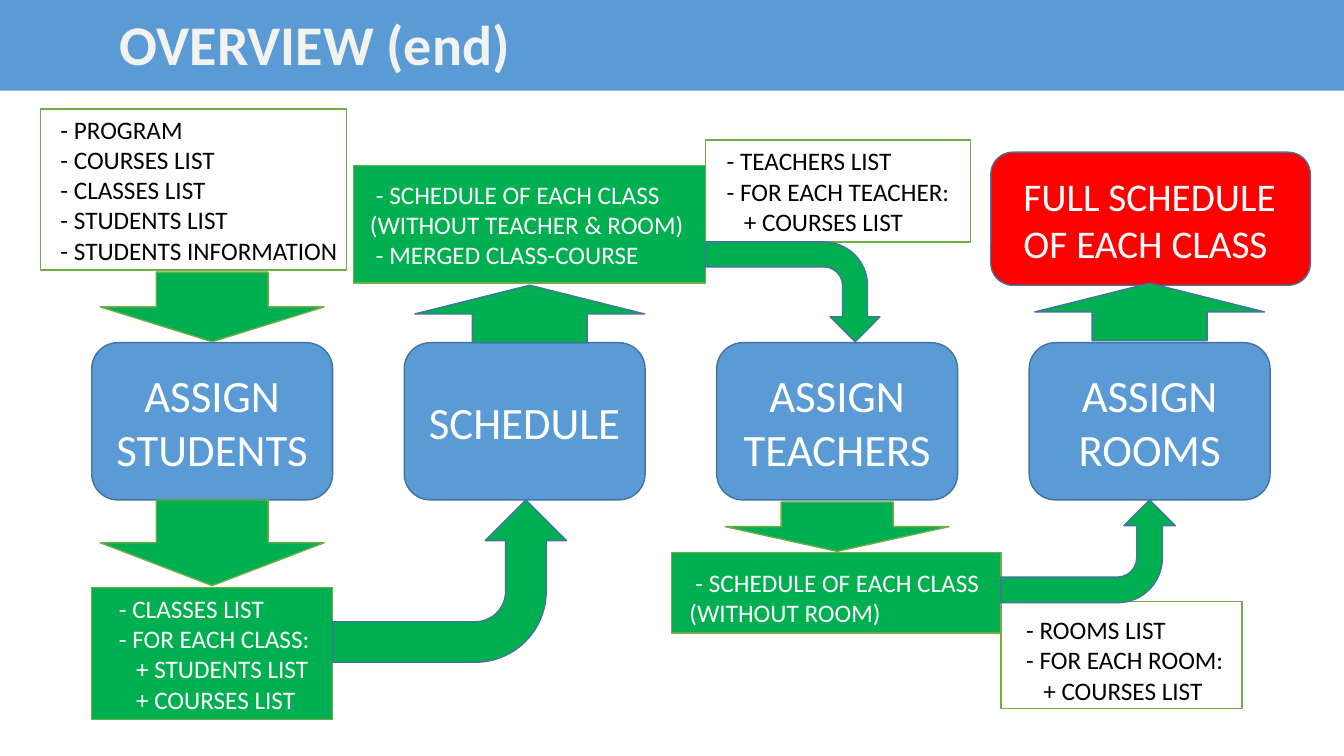
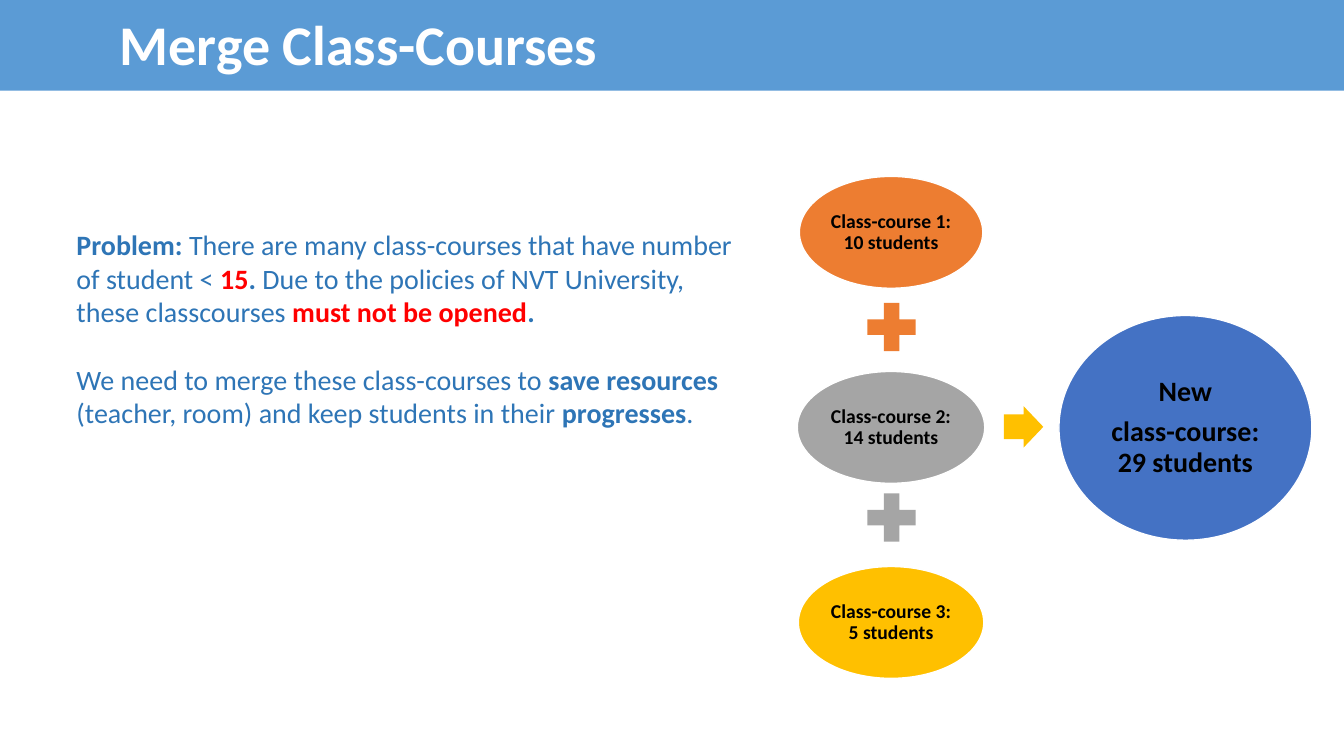
from pptx import Presentation
from pptx.dml.color import RGBColor
from pptx.enum.shapes import MSO_SHAPE
from pptx.enum.text import MSO_ANCHOR, PP_ALIGN
from pptx.util import Inches, Pt

COLORS = {
    "blue": "5B9BD5", "outline": "43739E", "green": "00B050", "edge": "70AD47",
    "red": "FF0000", "white": "FFFFFF", "pale": "F2F2EF", "black": "000000",
    "ink": "2E75B6", "orange": "ED7D31", "gray": "A5A5A5", "gold": "FFC000",
    "royal": "4472C4",
}
FONT = "Calibri"
CELL = 0.1  # side of one square grid cell, in inches
COLUMNS, ROWS = 133.33, 75
MARKER_INDENTS = {"-": 0.6, "+": 2.3}  # columns, by the line's first character


def grid(cells):
    return Inches(cells * CELL)


def color(name):
    return RGBColor.from_string(COLORS[name])


def write(shape, paragraphs, size=18, ink="white", bold=False, align=PP_ALIGN.LEFT,
          anchor=MSO_ANCHOR.MIDDLE, insets=(1, 0.5, 1, 0.5), gap=0, spacing=None):
    """Fill a shape; a paragraph is a string or a list of (text, bold, ink)."""
    frame = shape.text_frame
    frame.word_wrap = True
    frame.vertical_anchor = anchor
    (frame.margin_left, frame.margin_top,
     frame.margin_right, frame.margin_bottom) = map(grid, insets)
    for index, content in enumerate(paragraphs):
        paragraph = frame.add_paragraph() if index else frame.paragraphs[0]
        paragraph.alignment = align
        if spacing:
            paragraph.line_spacing = spacing
        if index and gap:
            paragraph.space_before = Pt(gap)
        runs = [(content, bold, ink)] if isinstance(content, str) else content
        indent = MARKER_INDENTS.get(runs[0][0][0])
        if indent:
            properties = paragraph._p.get_or_add_pPr()
            properties.set("marL", str(int(grid(indent))))
            properties.set("indent", "0")
        for text, run_bold, run_ink in runs:
            run = paragraph.add_run()
            run.text = text
            run.font.name = FONT
            run.font.size = Pt(size)
            run.font.bold = run_bold
            run.font.color.rgb = color(run_ink)


class Deck:
    """Shared style and the slide being drawn; lengths are grid cells."""

    def __init__(self):
        self.presentation = Presentation()
        self.presentation.slide_width = grid(COLUMNS)
        self.presentation.slide_height = grid(ROWS)
        self.slide = None

    def start(self, title, ink="white"):
        layout = self.presentation.slide_layouts[6]
        self.slide = self.presentation.slides.add_slide(layout)
        band = self.shape(MSO_SHAPE.RECTANGLE, 0, 0, COLUMNS, 9, "blue")
        write(band, [title], size=40, bold=True, ink=ink, insets=(11.9, 0, 1, 0.4))

    def shape(self, kind, left, top, width, height, fill, line=None):
        shape = self.slide.shapes.add_shape(
            kind, grid(left), grid(top), grid(width), grid(height))
        shape.shadow.inherit = False
        shape.fill.solid()
        shape.fill.fore_color.rgb = color(fill)
        if line:
            shape.line.color.rgb = color(line)
            shape.line.width = Pt(1)
        else:
            shape.line.fill.background()
        return shape

    def data_box(self, left, top, width, height, lines, fill="green",
                 inset=1.8, drop=0):
        box = self.shape(MSO_SHAPE.RECTANGLE, left, top, width, height, fill, "edge")
        ink = "black" if fill == "white" else "white"
        write(box, lines, ink=ink, insets=(inset, drop, 0, 0))

    def process(self, left, top, width, height, name):
        box = self.shape(MSO_SHAPE.ROUNDED_RECTANGLE, left, top, width, height,
                         "blue", "outline")
        write(box, [name], size=32, align=PP_ALIGN.CENTER)

    def block_arrow(self, center, top, width, height, up=False):
        kind = MSO_SHAPE.UP_ARROW if up else MSO_SHAPE.DOWN_ARROW
        self.shape(kind, center - width / 2, top, width, height, "green",
                   "outline" if up else "edge")

    def bent_arrow(self, left, top, width, height, up=False):
        """Arrow leaving to the right, then turning; the box is as seen."""
        shift = (width - height) / 2
        arrow = self.shape(MSO_SHAPE.BENT_ARROW, left + shift, top - shift,
                           height, width, "green", "outline")
        arrow.rotation = 90
        if up:
            arrow._element.spPr.xfrm.set("flipH", "1")

    def bubble(self, center, top, width, height, fill, lines, size=14):
        bubble = self.shape(MSO_SHAPE.OVAL, center - width / 2, top, width, height,
                            fill, "white")
        write(bubble, lines, size=size, bold=True, ink="black", spacing=0.9,
              align=PP_ALIGN.CENTER, insets=(0.2,) * 4, gap=7)

    def text(self, left, top, width, height, paragraphs, **style):
        box = self.slide.shapes.add_textbox(
            grid(left), grid(top), grid(width), grid(height))
        write(box, paragraphs, anchor=MSO_ANCHOR.TOP, **style)


def draw_overview(deck):
    deck.start("OVERVIEW (end)", ink="pale")

    # Data going into and out of the processes
    deck.data_box(4, 10.8, 30.4, 16, [
        "- PROGRAM", "- COURSES LIST", "- CLASSES LIST", "- STUDENTS LIST",
        "- STUDENTS INFORMATION"], fill="white", inset=1.4)
    deck.data_box(9.1, 58.3, 23.9, 13.1, [
        "- CLASSES LIST", "- FOR EACH CLASS:", "+ STUDENTS LIST",
        "+ COURSES LIST"], inset=2.1)
    deck.data_box(35.1, 16.4, 34.9, 11.7, [
        "- SCHEDULE OF EACH CLASS", "(WITHOUT TEACHER & ROOM)",
        "- MERGED CLASS-COURSE"], inset=1.6)
    deck.data_box(70, 13.9, 26.3, 10.1, [
        "- TEACHERS LIST", "- FOR EACH TEACHER:", "+ COURSES LIST"],
        fill="white", inset=1.5)
    deck.data_box(99.3, 59.7, 23.9, 10.6, [
        "- ROOMS LIST", "- FOR EACH ROOM:", "+ COURSES LIST"],
        fill="white", inset=1.9, drop=0.9)
    deck.data_box(66.6, 54.8, 32.7, 8, [
        "- SCHEDULE OF EACH CLASS", "(WITHOUT ROOM)"], drop=0.9)

    # Final result
    result = deck.shape(MSO_SHAPE.ROUNDED_RECTANGLE, 98.3, 15.1, 31.7, 13.2,
                        "red", "outline")
    write(result, ["FULL SCHEDULE", "OF EACH CLASS"], size=28, insets=(2.6, 0.2, 0, 0))

    # Four processes at an equal pitch
    first, pitch, width = 9.1, 31, 23.9
    names = ["ASSIGN STUDENTS", "SCHEDULE", "ASSIGN TEACHERS", "ASSIGN ROOMS"]
    for index, name in enumerate(names):
        deck.process(first + index * pitch, 34, width, 15.6, name)
    students, schedule, teachers, rooms = [
        first + index * pitch + width / 2 for index in range(len(names))]

    # Arrows along the flow
    deck.block_arrow(students, 27, 22.2, 6.9)
    deck.block_arrow(students, 49.6, 22.2, 8.5)
    deck.block_arrow(schedule + 0.5, 28.3, 22.8, 5.7, up=True)
    deck.block_arrow(teachers, 49.8, 22.2, 4.9)
    deck.block_arrow(rooms, 28.1, 22.8, 5.7, up=True)
    deck.bent_arrow(33, 49.6, 23.2, 16.1, up=True)
    deck.bent_arrow(70, 24, 17.3, 9.9)
    deck.bent_arrow(99.3, 49.6, 17.3, 10.2, up=True)


def draw_merge(deck):
    deck.start("Merge Class-Courses")

    # Problem statement
    deck.text(6.6, 22.1, 68.1, 21.2, [
        [("Problem: ", True, "ink"),
         ("There are many class-courses that have number of student < ", False, "ink"),
         ("15", True, "red"), (". ", True, "ink"),
         ("Due to the policies of NVT University, these classcourses ", False, "ink"),
         ("must not be opened", True, "red"), (".", True, "ink")],
        [("We need to merge these class-courses to ", False, "ink"),
         ("save resources ", True, "ink"),
         ("(teacher, room) and keep students in their ", False, "ink"),
         ("progresses", True, "ink"), (".", False, "ink")],
    ], size=20, gap=24)

    # Class-courses to be added up
    center, pitch = 88.4, 19.35
    courses = [("orange", 18.2, 10), ("gray", 18.6, 14), ("gold", 18.4, 5)]
    for index, (fill, width, students) in enumerate(courses):
        deck.bubble(center, 17.5 + index * pitch, width, 11.1, fill,
                    [f"Class-course {index + 1}: {students} students"])
    for fill, top in (("orange", 29.2), ("gray", 48.1)):
        deck.shape(MSO_SHAPE.MATH_PLUS, center - 3.2, top, 6.5, 6.5, fill)

    # Merged class-course
    arrow = deck.shape(MSO_SHAPE.RIGHT_ARROW, 99.6, 40.3, 3.9, 4.1, "gold")
    arrow.adjustments[0] = 0.6
    deck.bubble(117.6, 31.3, 25.1, 22.3, "royal",
                ["New", "class-course: 29 students"], size=20)


def main():
    deck = Deck()
    draw_overview(deck)
    draw_merge(deck)
    deck.presentation.save("out.pptx")


if __name__ == "__main__":
    main()
